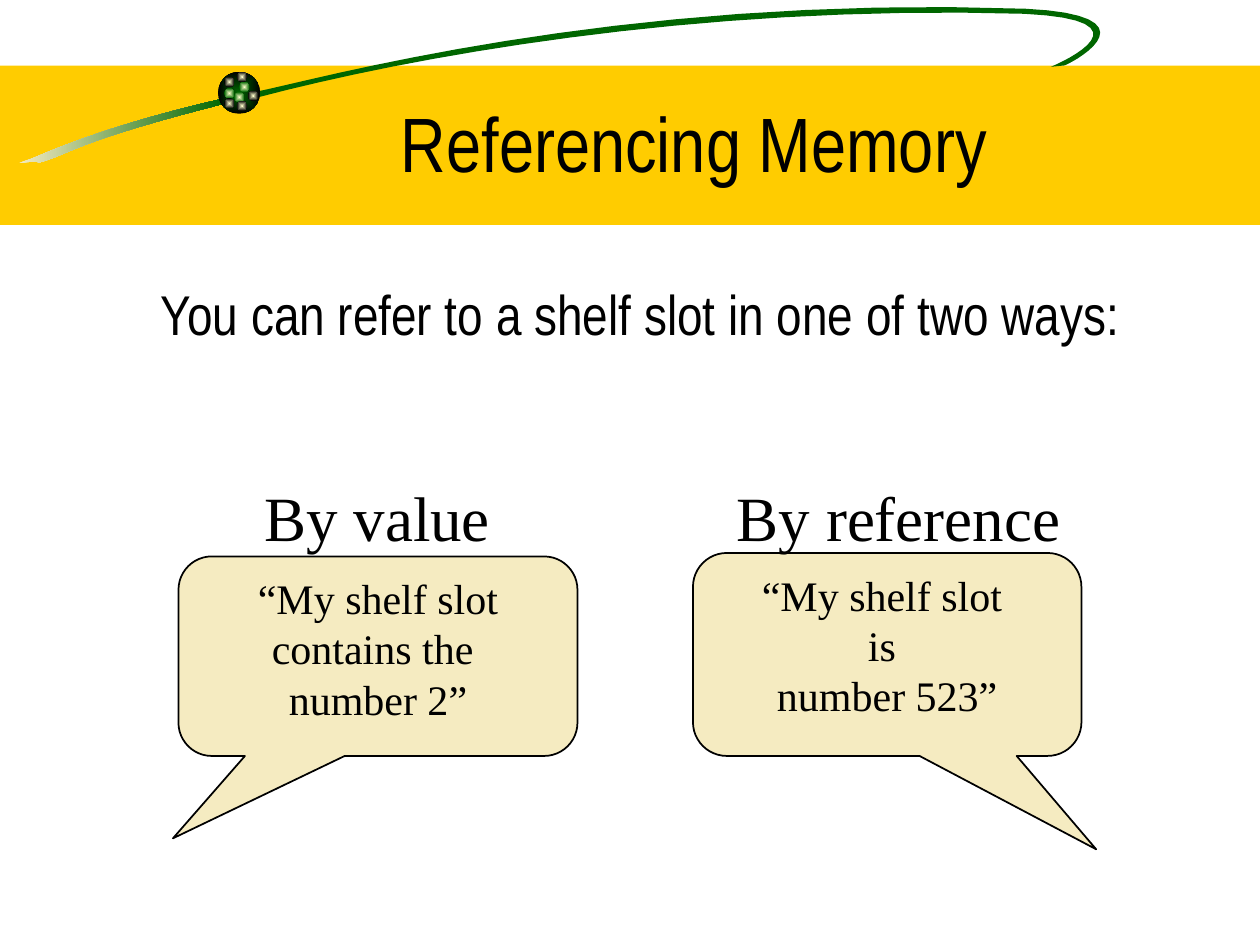
from dataclasses import dataclass

from lxml.etree import SubElement
from pptx import Presentation
from pptx.dml.color import RGBColor
from pptx.enum.shapes import MSO_SHAPE
from pptx.enum.text import MSO_ANCHOR, MSO_AUTO_SIZE, PP_ALIGN
from pptx.oxml.ns import qn
from pptx.util import Pt


@dataclass(frozen=True)
class Theme:
    band: str = "FFCC00"
    green: str = "006600"
    cream: str = "F5EBC1"
    glow: str = "FFFFCC"
    white: str = "FFFFFF"
    black: str = "000000"
    heading_font: str = "Arial Narrow"
    speech_font: str = "Times New Roman"
    title_size: int = 44
    label_size: int = 36
    body_size: int = 32
    speech_size: int = 24


THEME = Theme()
CURVE_STEPS = 16
SPARKLE_SIZE = 5.8

TAIL_START = (128.2, 56.2)
TAIL_PARTS = [
    [(65.5, 70.6), (35.3, 83.5), (18, 90.7)],
    [(0.7, 96.5), (18.7, 90.7), (22.3, 92.9)],
    [(41, 87.8), (41, 81.4), (128.9, 59)],
]
LOOP_START = (145.4, 52.6)
LOOP_PARTS = [
    [(177.1, 46.8), (349.9, -3.6), (586.1, 5)],
    [(660.2, 8.6), (617, 33.8), (608.4, 37.4)],
    [(600.5, 38.2)],
    [(607.7, 35.3), (659.5, 11.5), (585.4, 7.9)],
    [(394.6, 2.2), (230.4, 33.8), (148.3, 55.4)],
]
SPARKLES = [
    (136.8, 46.8, THEME.green),
    (128.2, 43.9, THEME.black),
    (128.2, 50.4, THEME.green),
    (133.9, 52.6, THEME.green),
    (141.8, 51.8, THEME.black),
    (135.4, 57.6, THEME.black),
    (128.2, 56.2, THEME.black),
    (135.4, 41, THEME.black),
]


def color(value):
    return RGBColor.from_string(value)


def fill_solid(shape, value):
    shape.fill.solid()
    shape.fill.fore_color.rgb = color(value)


def fill_gradient(shape, first, last, from_center=False):
    shape.fill.gradient()
    shape.fill.gradient_angle = 0
    for stop, value, position in zip(shape.fill.gradient_stops, (first, last), (0, 1)):
        stop.color.rgb = color(value)
        stop.position = position
    if from_center:
        gradient = shape.element.spPr.find(qn("a:gradFill"))
        gradient.remove(gradient.find(qn("a:lin")))
        center = SubElement(gradient, qn("a:path"), {"path": "rect"})
        SubElement(center, qn("a:fillToRect"), dict.fromkeys("ltrb", "50000"))


def add_plain_shape(page, kind, left, top, width, height):
    shape = page.shapes.add_shape(kind, Pt(left), Pt(top), Pt(width), Pt(height))
    shape.shadow.inherit = False
    shape.line.fill.background()
    return shape


def add_ball(page, left, top, size, inner, outer):
    ball = add_plain_shape(page, MSO_SHAPE.OVAL, left, top, size, size)
    fill_gradient(ball, inner, outer, from_center=True)


def curve_points(start, first, second, end):
    for step in range(1, CURVE_STEPS + 1):
        t = step / CURVE_STEPS
        weights = ((1 - t) ** 3, 3 * t * (1 - t) ** 2, 3 * t**2 * (1 - t), t**3)
        corners = (start, first, second, end)
        yield tuple(sum(w * c[axis] for w, c in zip(weights, corners)) for axis in (0, 1))


def add_swoosh(page, start, parts):
    points, current = [], start
    for part in parts:
        points.extend(curve_points(current, *part) if len(part) == 3 else part)
        current = part[-1]
    builder = page.shapes.build_freeform(Pt(start[0]), Pt(start[1]))
    builder.add_line_segments([(Pt(x), Pt(y)) for x, y in points], close=True)
    swoosh = builder.convert_to_shape()
    swoosh.shadow.inherit = False
    swoosh.line.fill.background()
    return swoosh


def write_text(shape, *lines, font, size, align=PP_ALIGN.CENTER,
               anchor=MSO_ANCHOR.TOP, wrap=True, space_before=0):
    frame = shape.text_frame
    frame.word_wrap = wrap
    frame.vertical_anchor = anchor
    if not wrap:
        frame.auto_size = MSO_AUTO_SIZE.SHAPE_TO_FIT_TEXT
    for index, line in enumerate(lines):
        para = frame.add_paragraph() if index else frame.paragraphs[0]
        para.alignment = align
        para.space_before = Pt(space_before)
        span = para.add_run()
        span.text = line
        span.font.name = font
        span.font.size = Pt(size)
        span.font.color.rgb = color(THEME.black)


def add_box(page, left, top, width, height, *lines, **style):
    box = page.shapes.add_textbox(Pt(left), Pt(top), Pt(width), Pt(height))
    write_text(box, *lines, **style)


def add_callout(page, left, top, width, height, tip, *lines):
    callout = add_plain_shape(page, MSO_SHAPE.ROUNDED_RECTANGULAR_CALLOUT,
                              left, top, width, height)
    for index, value in enumerate((*tip, 0.167)):
        callout.adjustments[index] = value
    fill_solid(callout, THEME.cream)
    callout.line.color.rgb = color(THEME.black)
    callout.line.width = Pt(1)
    write_text(callout, *lines, font=THEME.speech_font, size=THEME.speech_size)


def add_label(page, left, width, text):
    add_box(page, left, 270, width, 50.4, text, font=THEME.speech_font,
            size=THEME.label_size, align=PP_ALIGN.LEFT, wrap=False)


def add_decoration(page):
    band = add_plain_shape(page, MSO_SHAPE.RECTANGLE, 0, 37.5, 720, 91)
    fill_solid(band, THEME.band)
    fill_gradient(add_swoosh(page, TAIL_START, TAIL_PARTS), THEME.cream, THEME.green)
    fill_solid(add_swoosh(page, LOOP_START, LOOP_PARTS), THEME.green)
    add_ball(page, 124.6, 41, 24, THEME.green, THEME.black)
    for left, top, rim in SPARKLES:
        add_ball(page, left, top, SPARKLE_SIZE, THEME.glow, rim)
    veil = add_plain_shape(page, MSO_SHAPE.RECTANGLE, 53.3, 148.3, 87.8, 391.7)
    fill_solid(veil, THEME.white)
    tint = veil.element.spPr.find(qn("a:solidFill"))[0]
    SubElement(tint, qn("a:alpha"), val="50000")


def main():
    deck = Presentation()
    deck.slide_width, deck.slide_height = Pt(720), Pt(540)
    page = deck.slides.add_slide(deck.slide_layouts[6])
    add_decoration(page)
    add_box(page, 90.7, 36, 612, 90, "Referencing Memory", font=THEME.heading_font,
            size=THEME.title_size, anchor=MSO_ANCHOR.MIDDLE)
    add_box(page, 54, 156, 624, 54, "You can refer to a shelf slot in one of two ways:",
            font=THEME.heading_font, size=THEME.body_size, space_before=8)
    add_callout(page, 102, 318, 228, 114, (-0.514, 0.913),
                "“My shelf slot contains the ", "number 2”")
    add_label(page, 144, 143.3, "By value")
    add_callout(page, 396, 316, 222, 116, (0.538, 0.96),
                "“My shelf slot ", "is ", "number 523”")
    add_label(page, 414, 199.4, "By reference")
    deck.save("out.pptx")


if __name__ == "__main__":
    main()
